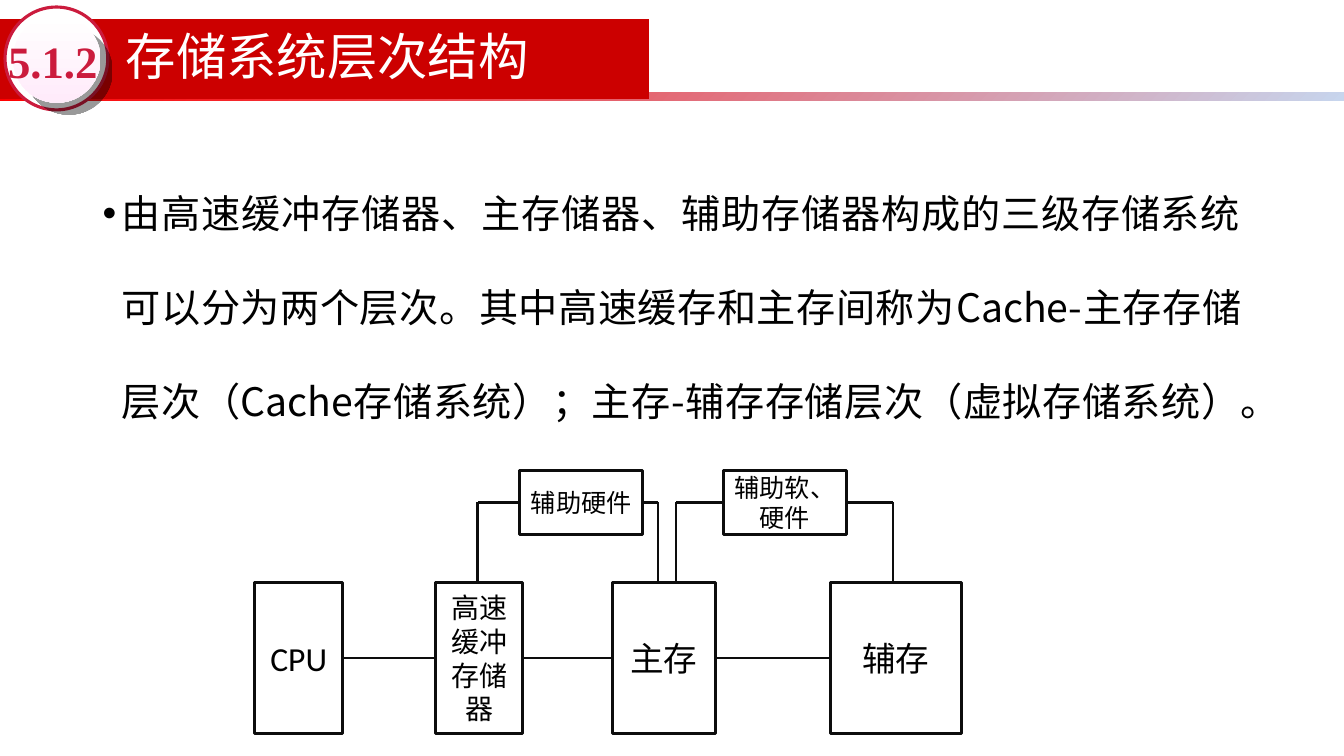
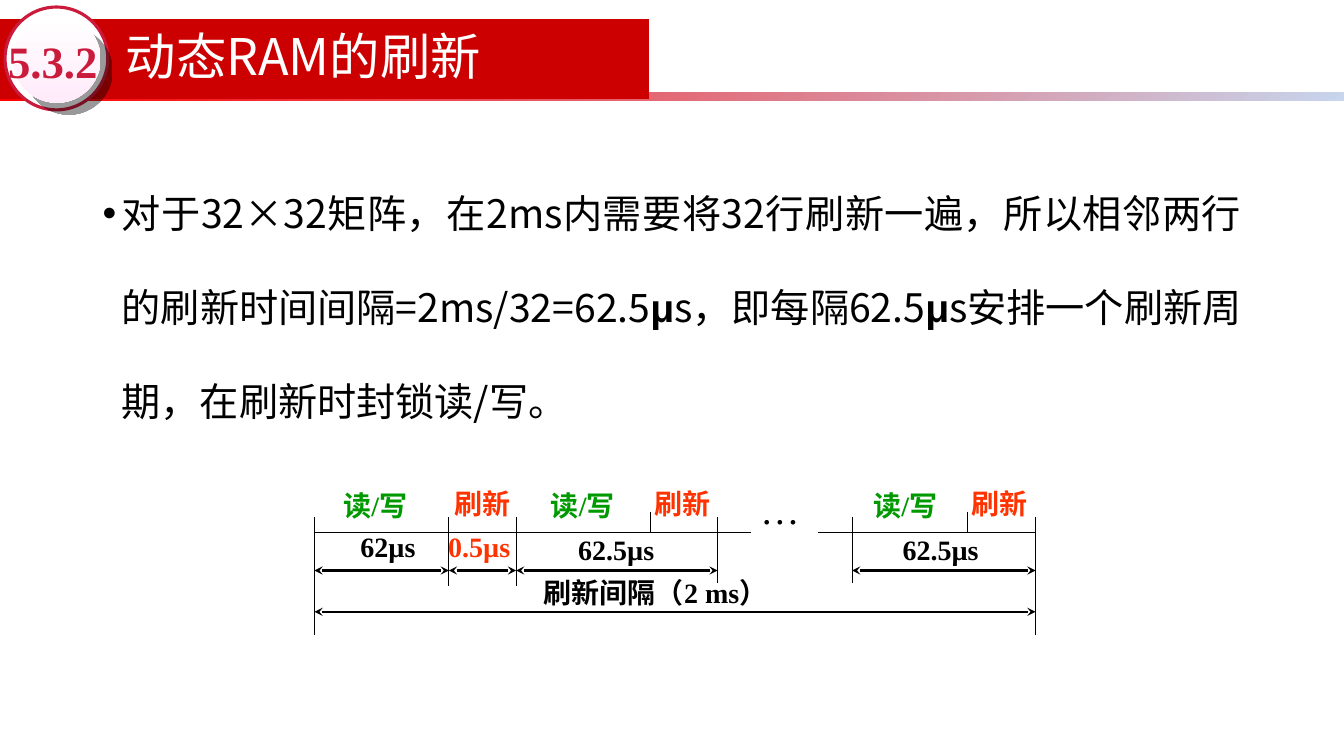
from pptx import Presentation
from pptx.dml.color import RGBColor
from pptx.enum.shapes import MSO_CONNECTOR, MSO_SHAPE
from pptx.enum.text import MSO_ANCHOR, PP_ALIGN
from pptx.oxml import parse_xml
from pptx.oxml.ns import nsdecls, qn
from pptx.util import Inches, Pt
from lxml import etree

RECT, OVAL = MSO_SHAPE.RECTANGLE, MSO_SHAPE.OVAL
STRAIGHT = MSO_CONNECTOR.STRAIGHT
TOP, MIDDLE = MSO_ANCHOR.TOP, MSO_ANCHOR.MIDDLE
LEFT, CENTER, JUSTIFY = PP_ALIGN.LEFT, PP_ALIGN.CENTER, PP_ALIGN.JUSTIFY

WIDTH, HEIGHT = 13.34, 7.5
COL = WIDTH / 20
HEI, TIMES, CALIBRI = "Noto Sans CJK SC", "Times New Roman", "Calibri"
RED, CRIMSON, WHITE, BLACK, INK = "CC0000", "CB1B3D", "FFFFFF", "000000", "0D0D0D"
GREEN, ORANGE = "009900", "FF3300"
rgb = RGBColor.from_string


def write(shape, runs, font, size, color, bold=False, align=LEFT, anchor=TOP):
    frame = shape.text_frame
    frame.word_wrap = True
    frame.vertical_anchor = anchor
    paragraph = frame.paragraphs[0]
    paragraph.alignment = align
    for text, face, heavy in [(r, font, bold) if isinstance(r, str) else r for r in runs]:
        run = paragraph.add_run()
        run.text = text
        run.font.name = face
        run.font.size = Pt(size)
        run.font.bold = heavy
        run.font.color.rgb = rgb(color)
    return paragraph


def rule(slide, x1, y1, x2, y2, color, weight, arrows=False):
    line = slide.shapes.add_connector(STRAIGHT, *map(Inches, (x1, y1, x2, y2)))
    line.line.color.rgb = rgb(color)
    line.line.width = Pt(weight)
    if arrows:
        for end in ("a:headEnd", "a:tailEnd"):
            etree.SubElement(line.line._ln, qn(end), type="stealth")
    etree.SubElement(line._element.spPr, qn("a:effectLst"))


prs = Presentation()
prs.slide_width, prs.slide_height = Inches(WIDTH), Inches(HEIGHT)

MU = ("μ", "Arial", True)
sections = [
    ("5.1.2", "存储系统层次结构",
     ["由高速缓冲存储器、主存储器、辅助存储器构成的三级存储系统可以分为两个层次。"
      "其中高速缓存和主存间称为Cache-主存存储层次（Cache存储系统）；"
      "主存-辅存存储层次（虚拟存储系统）。"]),
    ("5.3.2", "动态RAM的刷新",
     ["对于32×32矩阵，在2ms内需要将32行刷新一遍，所以相邻两行的刷新时间间隔=2ms/32=62.5",
      MU, "s，即每隔62.5", MU, "s安排一个刷新周期，在刷新时封锁读/写。"]),
]
header = [
    (RECT, (0, 0.92, WIDTH, 0.08), ("FF0000", "C7D5ED"), 315, None),
    (RECT, (0, 0.19, 6.44, 0.79), (RED,), 0, None),
    (OVAL, (0.05, 0.07, 1.02, 1.02), (WHITE,), 0, CRIMSON),
    (OVAL, (0.13, 0.15, 0.87, 0.87), (WHITE, "FFEBFA"), 270, None),
]

slides = []
for number, title, body in sections:
    slide = prs.slides.add_slide(prs.slide_layouts[6])
    slides.append(slide)
    for kind, box, colors, angle, outline in header:
        part = slide.shapes.add_shape(kind, *map(Inches, box))
        part.shadow.inherit = False
        if len(colors) == 2:
            part.fill.gradient()
            part.fill.gradient_angle = angle
            for stop, color in zip(part.fill.gradient_stops, colors):
                stop.color.rgb = rgb(color)
        else:
            part.fill.solid()
            part.fill.fore_color.rgb = rgb(colors[0])
        if outline:
            part.line.color.rgb = rgb(outline)
            part.line.width = Pt(2.25)
        else:
            part.line.fill.background()
    ball_effects = part._element.spPr.find(qn("a:effectLst"))
    ball_effects.append(parse_xml(
        f'<a:outerShdw {nsdecls("a")} dist="{Pt(12.1)}" dir="2700000" algn="ctr" rotWithShape="0">'
        f'<a:srgbClr val="{BLACK}"><a:alpha val="40000"/></a:srgbClr></a:outerShdw>'))

    story = slide.shapes.add_textbox(*map(Inches, (0.92, 1.36, 11.5, 5.44)))
    paragraph = write(story, body, HEI, 28, BLACK, align=JUSTIFY)
    paragraph.line_spacing = 2.0
    props = paragraph._p.get_or_add_pPr()
    props.set("marL", str(Inches(0.19)))
    props.set("indent", str(-Inches(0.19)))
    etree.SubElement(props, qn("a:buFont"), typeface="Arial")
    etree.SubElement(props, qn("a:buChar"), char="•")

    heading = slide.shapes.add_textbox(*map(Inches, (1.15, 0.18, 7.44, 0.82)))
    write(heading, [title], HEI, 36, WHITE, anchor=MIDDLE).line_spacing = 0.9

    badge = slide.shapes.add_textbox(*map(Inches, (0.08, 0.33, 0.93, 0.54)))
    write(badge, [number], TIMES, 32, CRIMSON, bold=True, anchor=MIDDLE)
    frame = badge.text_frame
    frame.margin_left = frame.margin_right = frame.margin_top = frame.margin_bottom = 0

hierarchy, refresh = slides

UNIT_TOP, UNIT_TALL = 5.78, 1.5
AID_TOP, AID_WIDE, AID_TALL = 4.67, 1.22, 0.63
units = [("CPU", 2.53, 0.87, 24), ("高速缓冲存储器", 4.32, 0.87, 20),
         ("主存", 6.08, 1.02, 24), ("辅存", 8.24, 1.3, 24)]
aids = [("辅助硬件", 5.16, 4.74, 6.53), ("辅助软、硬件", 7.18, 6.71, 8.86)]
blocks = [(name, x, UNIT_TOP, wide, UNIT_TALL, size) for name, x, wide, size in units]
blocks += [(name, x, AID_TOP, AID_WIDE, AID_TALL, 18) for name, x, *_ in aids]
for name, x, y, wide, tall, size in blocks:
    block = hierarchy.shapes.add_shape(RECT, *map(Inches, (x, y, wide, tall)))
    block.shadow.inherit = False
    block.fill.background()
    block.line.color.rgb = rgb(INK)
    block.line.width = Pt(2.25)
    write(block, [name], CALIBRI, size, BLACK, align=CENTER, anchor=MIDDLE)

bus = UNIT_TOP + UNIT_TALL / 2
for (_, x, wide, _), (_, following, _, _) in zip(units, units[1:]):
    rule(hierarchy, x + wide, bus, following, bus, INK, 1.5)
link = AID_TOP + AID_TALL / 2
for _, x, left_drop, right_drop in aids:
    for edge, drop in ((x, left_drop), (x + AID_WIDE, right_drop)):
        rule(hierarchy, edge, link, drop, link, INK, 1.5)
        rule(hierarchy, drop, link, drop, UNIT_TOP, INK, 1.5)

ORIGIN, END = 4.68 * COL, 10.73
AXIS, SPAN_ROW, TOTAL_ROW = 5.28, 5.66, 6.07
for start, stop in ((0, 6.5), (7.5, END)):
    rule(refresh, ORIGIN + start * COL, AXIS, ORIGIN + stop * COL, AXIS, BLACK, 0.75)
ticks = [(0, 5.13, 6.3), (2, 5.13, 5.81), (3, 5.13, 5.81), (5, 5.08, AXIS),
         (6, 5.13, 5.78), (8, 5.13, 5.78), (9.72, 5.08, AXIS), (END, 5.13, 6.3)]
for step, top, bottom in ticks:
    rule(refresh, ORIGIN + step * COL, top, ORIGIN + step * COL, bottom, BLACK, 0.75)
spans = [(0, 2, SPAN_ROW), (2, 3, SPAN_ROW), (3, 6, SPAN_ROW), (8, END, SPAN_ROW),
         (0, END, TOTAL_ROW)]
for start, stop, y in spans:
    rule(refresh, ORIGIN + start * COL, y, ORIGIN + stop * COL, y, BLACK, 1.5, arrows=True)

captions = [("刷新间隔（2 ms）", 5.3, 5.66, 3.14, BLACK), ("62µs", 3.48, 5.2, 1.14, BLACK),
            ("0.5µs", 4.35, 5.2, 1.14, ORANGE)]
captions += [("读/写", x, 4.8, 1.54, GREEN) for x in (3.31, 5.37, 8.57)]
captions += [("刷新", x, 4.78, 1.06, ORANGE) for x in (4.41, 6.4, 9.54)]
captions += [("62.5µs", x, 5.23, 1.48, BLACK) for x in (5.64, 8.86)]
for text, x, y, wide, color in captions:
    caption = refresh.shapes.add_textbox(*map(Inches, (x, y, wide, 0.44)))
    write(caption, [text], TIMES, 20, color, bold=True)
gap = refresh.shapes.add_textbox(*map(Inches, (7.45, 4.77, 1.7, 0.57)))
write(gap, ["…"], TIMES, 28, BLACK)

prs.save("out.pptx")
